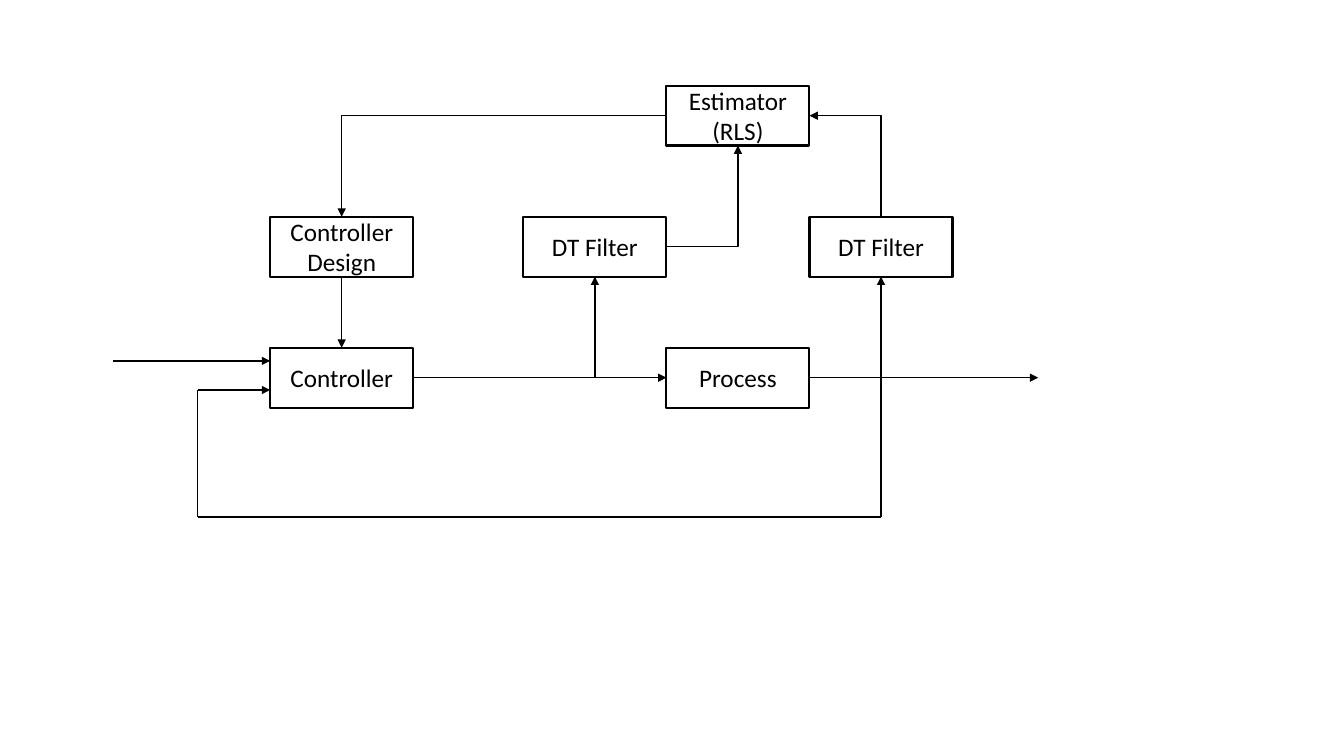
from lxml import etree
from pptx import Presentation
from pptx.dml.color import RGBColor
from pptx.enum.shapes import MSO_CONNECTOR, MSO_SHAPE
from pptx.enum.text import MSO_ANCHOR, PP_ALIGN
from pptx.oxml.ns import qn
from pptx.util import Pt

RECT = MSO_SHAPE.RECTANGLE
STRAIGHT, ELBOW = MSO_CONNECTOR.STRAIGHT, MSO_CONNECTOR.ELBOW
MIDDLE, CENTER = MSO_ANCHOR.MIDDLE, PP_ALIGN.CENTER
BLACK = RGBColor(0, 0, 0)
FONT = "Calibri"
TOP, LEFT, BOTTOM, RIGHT = range(4)

BOX_W, BOX_H = 102.2, 42.8
PROCESS_X = 476
COLUMNS = [193, PROCESS_X - BOX_W, PROCESS_X, PROCESS_X + BOX_W]
ROW_TOP, ROW_STEP = 61.2, 93.6

BLOCKS = {
    "controller": ("Controller", 0, 2),
    "process": ("Process", 2, 2),
    "design": ("Controller Design", 0, 1),
    "output filter": ("DT Filter", 3, 1),
    "input filter": ("DT Filter", 1, 1),
    "estimator": ("Estimator (RLS)", 2, 0),
}
LINKS = [
    (STRAIGHT, "controller", RIGHT, "process", LEFT, "tailEnd"),
    (STRAIGHT, "design", BOTTOM, "controller", TOP, "tailEnd"),
    (ELBOW, "process", RIGHT, "output filter", BOTTOM, "tailEnd"),
    (ELBOW, "estimator", RIGHT, "output filter", TOP, "headEnd"),
    (ELBOW, "input filter", RIGHT, "estimator", BOTTOM, "tailEnd"),
    (ELBOW, "estimator", LEFT, "design", TOP, "tailEnd"),
]

SIGNAL_Y = ROW_TOP + 2 * ROW_STEP + BOX_H / 2
FILTER_BOTTOM = ROW_TOP + ROW_STEP + BOX_H
INPUT_X, OUTPUT_X = (COLUMNS[i] + BOX_W / 2 for i in (1, 3))
REFERENCE_X, REFERENCE_Y = 80.6, 257.8
FEEDBACK_X, FEEDBACK_Y, RETURN_Y = 141.1, 278.6, 369.4
OUTPUT_END = 741.6
WIRES = [
    (INPUT_X, SIGNAL_Y, INPUT_X, FILTER_BOTTOM, "tailEnd"),
    (OUTPUT_X, SIGNAL_Y, OUTPUT_X, RETURN_Y, None),
    (FEEDBACK_X, RETURN_Y, OUTPUT_X, RETURN_Y, None),
    (FEEDBACK_X, FEEDBACK_Y, FEEDBACK_X, RETURN_Y, None),
    (OUTPUT_X, SIGNAL_Y, OUTPUT_END, SIGNAL_Y, "tailEnd"),
]
INPUTS = [(FEEDBACK_X, FEEDBACK_Y), (REFERENCE_X, REFERENCE_Y)]
WIRES += [(x, y, COLUMNS[0], y, "tailEnd") for x, y in INPUTS]


def add_block(s, text, col, row):
    sp = s.shapes.add_shape(RECT, Pt(COLUMNS[col]), Pt(ROW_TOP + row * ROW_STEP),
                            Pt(BOX_W), Pt(BOX_H))
    sp.shadow.inherit = False
    sp.fill.background()
    sp.line.color.rgb = BLACK
    sp.line.width = Pt(1.5)
    tf = sp.text_frame
    tf.word_wrap = True
    tf.vertical_anchor = MIDDLE
    tf.text = text
    p = tf.paragraphs[0]
    p.alignment = CENTER
    font = p.runs[0].font
    font.name, font.size = FONT, Pt(18)
    font.color.rgb = BLACK
    return sp


def add_wire(s, kind, x1, y1, x2, y2, arrow):
    cxn = s.shapes.add_connector(kind, Pt(x1), Pt(y1), Pt(x2), Pt(y2))
    cxn.line.color.rgb = BLACK
    cxn.line.width = Pt(1)
    sp_pr = cxn._element.spPr
    if kind == ELBOW:
        sp_pr.find(qn("a:prstGeom")).set("prst", "bentConnector2")
    if arrow:
        etree.SubElement(sp_pr.find(qn("a:ln")), qn("a:" + arrow), type="triangle")
    etree.SubElement(sp_pr, qn("a:effectLst"))
    return cxn


def main():
    prs = Presentation()
    prs.slide_width, prs.slide_height = Pt(960), Pt(540)
    s = prs.slides.add_slide(prs.slide_layouts[6])
    blocks = {name: add_block(s, *block) for name, block in BLOCKS.items()}
    for kind, start, start_side, end, end_side, arrow in LINKS:
        cxn = add_wire(s, kind, 0, 0, 0, 0, arrow)
        cxn.begin_connect(blocks[start], start_side)
        cxn.end_connect(blocks[end], end_side)
    for x1, y1, x2, y2, arrow in WIRES:
        add_wire(s, STRAIGHT, x1, y1, x2, y2, arrow)
    prs.save("out.pptx")


if __name__ == "__main__":
    main()
